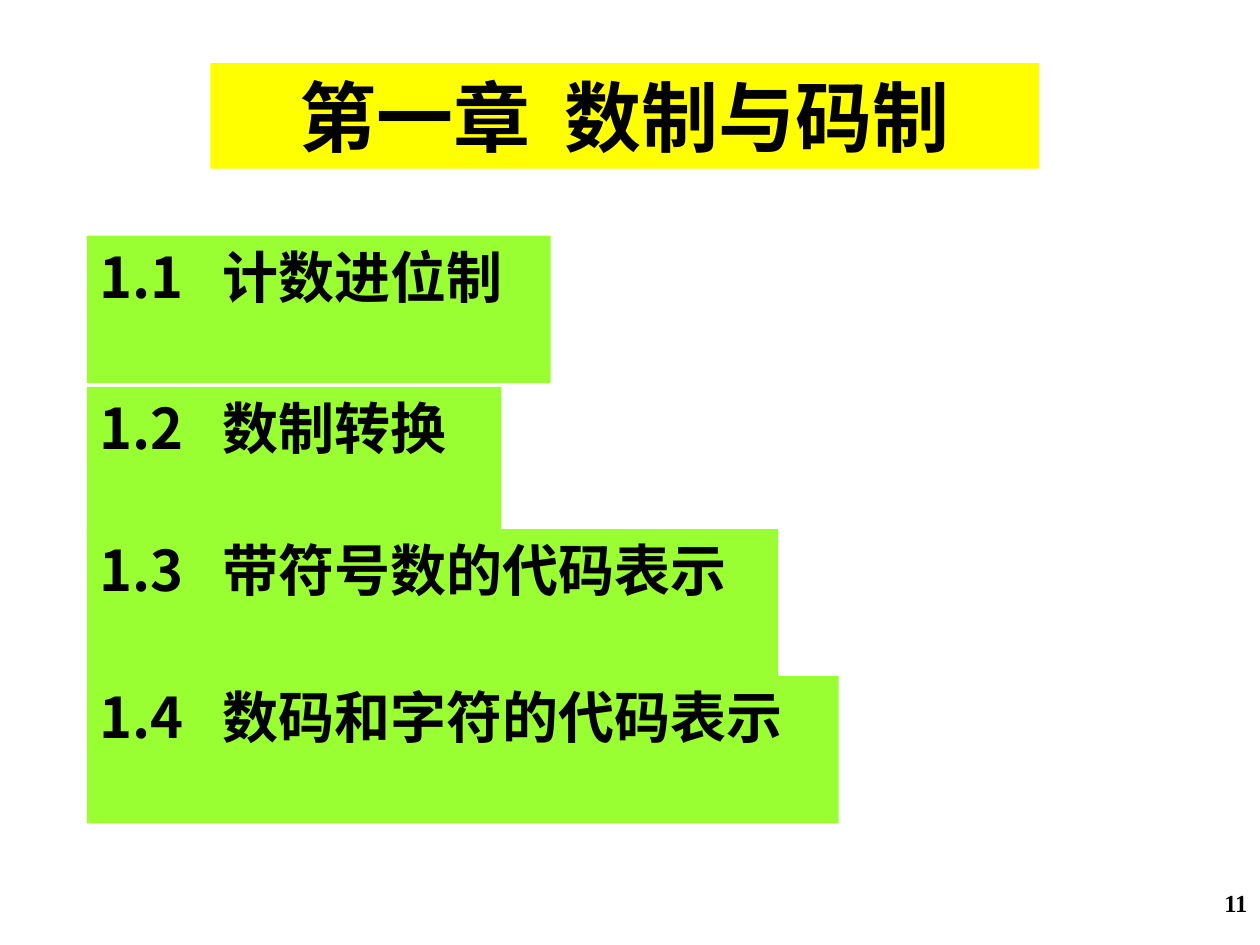
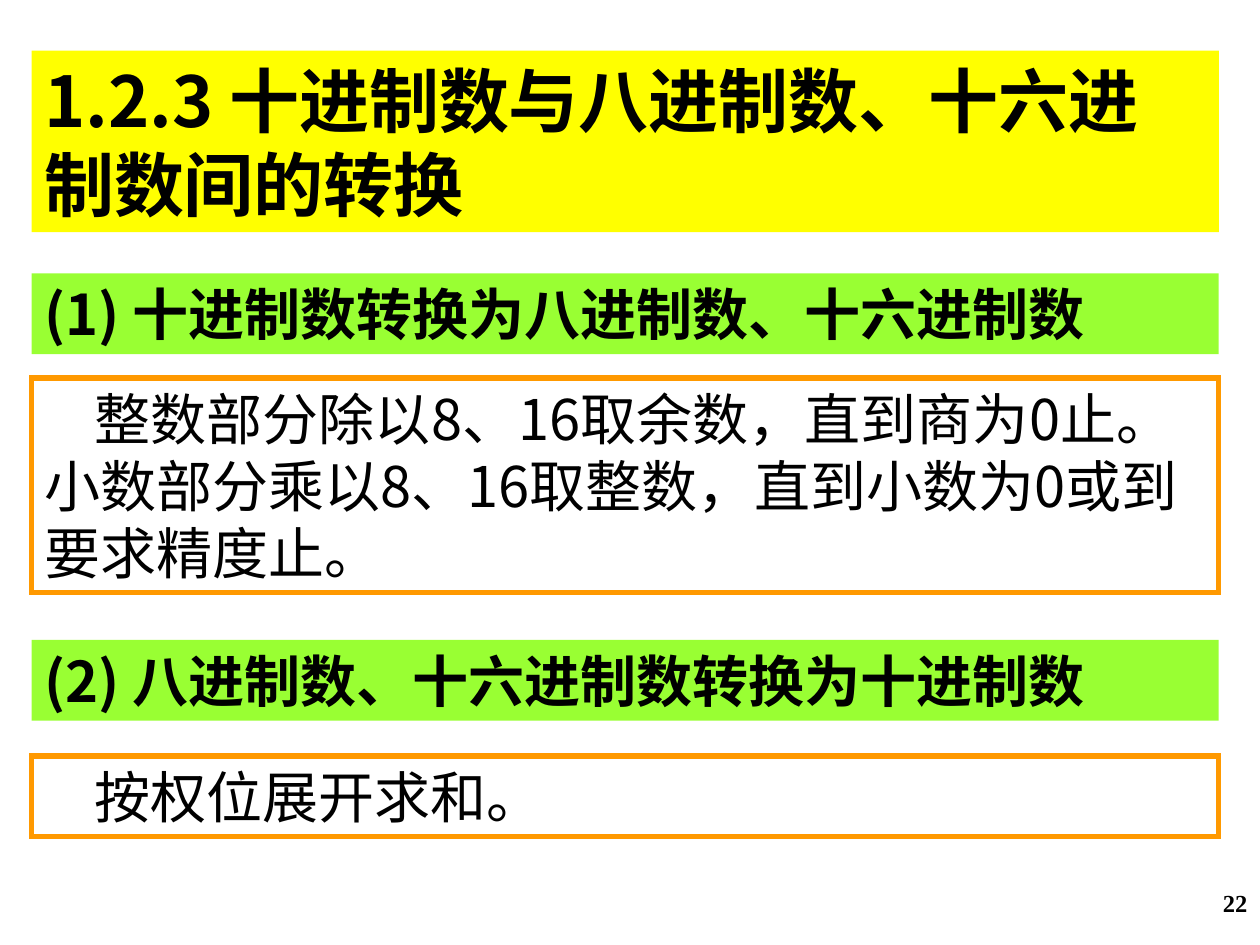
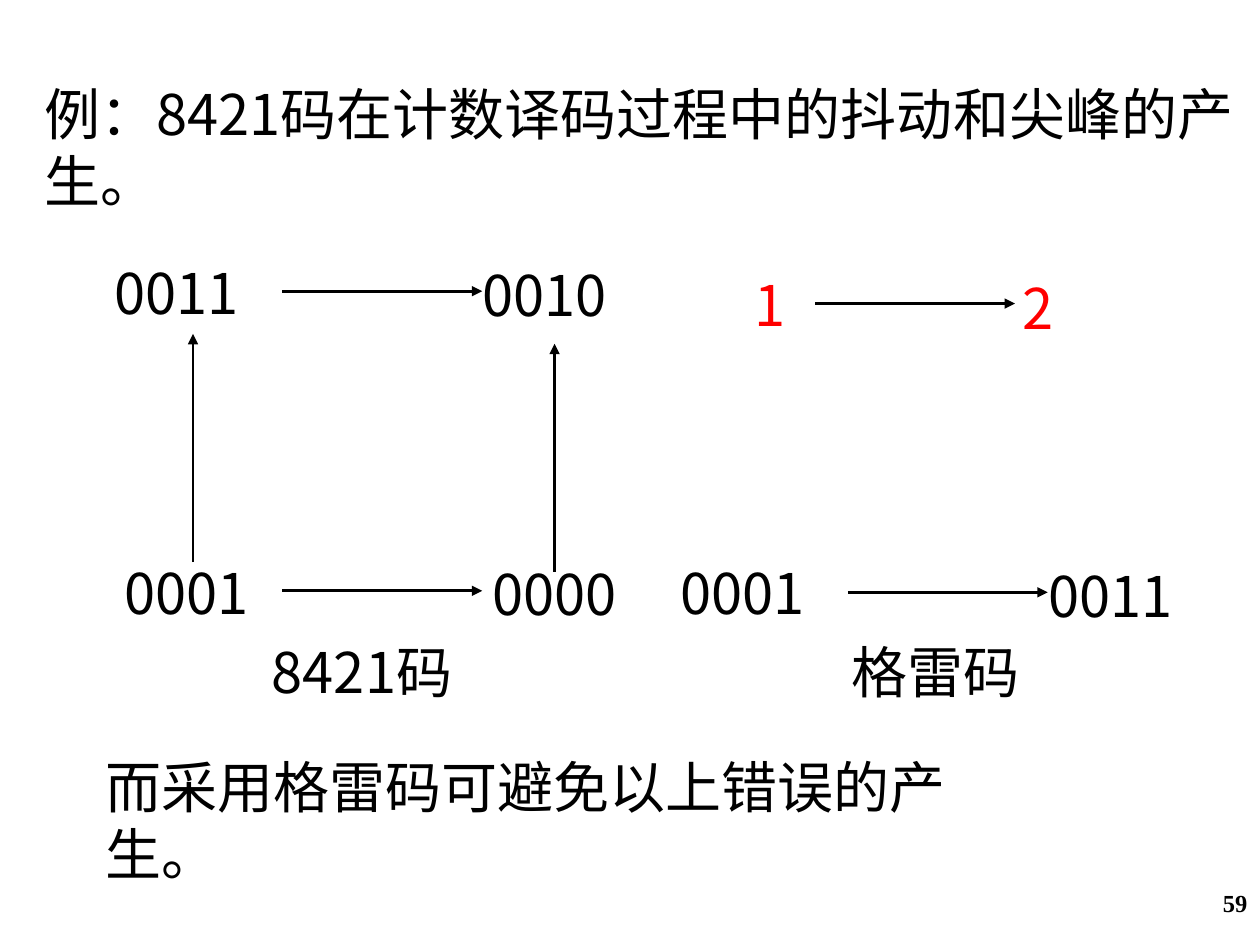
import pptx
import pptx.dml.color
import pptx.enum.shapes
import pptx.enum.text
import pptx.oxml
import pptx.oxml.ns
import pptx.util

Cm = pptx.util.Cm
Pt = pptx.util.Pt
Align = pptx.enum.text.PP_ALIGN
Anchor = pptx.enum.text.MSO_ANCHOR
AutoSize = pptx.enum.text.MSO_AUTO_SIZE

COLORS = {
    "text": "000000",
    "title band": "FFFF00",
    "heading band": "99FF33",
    "frame": "FF9900",
    "state": "FF0000",
}
SANS = "Noto Sans CJK SC"
SERIF = "Times New Roman"
BODY = {"name": SANS, "size": Pt(32), "bold": False}
HEADING = {**BODY, "bold": True}
CHAPTER_TITLE = {"name": SERIF, "size": Pt(44), "bold": True}
SECTION_TITLE = {**HEADING, "size": Pt(40)}
PAGE_NUMBER = {"name": SERIF, "size": Pt(14), "bold": True}

FRAME_FORMAT = {
    "margin_left": Cm(0.25),
    "margin_right": Cm(0.25),
    "margin_top": Cm(0.13),
    "margin_bottom": Cm(0.13),
}
SECTION_LEFT, SECTION_WIDTH = 0.64, 23.93
LINE_HEIGHT = 1.63


def rgb(color):
    return pptx.dml.color.RGBColor.from_string(COLORS[color])


def set_attributes(target, values):
    for name, value in values.items():
        setattr(target, name, value)


def append_xml(parent, tag, **attributes):
    element = pptx.oxml.parse_xml(f"<a:{tag} {pptx.oxml.ns.nsdecls('a')}/>")
    for name, value in attributes.items():
        element.set(name, str(value))
    parent.append(element)
    return element


def write_text(shape, text, font, color="text", align=Align.LEFT, anchor=Anchor.TOP,
               wrap=True, auto_size=AutoSize.NONE, indent=0, tab=0):
    """Fill the shape with one paragraph whose punctuation stays inside the margins."""
    frame = shape.text_frame
    set_attributes(frame, {**FRAME_FORMAT, "word_wrap": wrap,
                           "auto_size": auto_size, "vertical_anchor": anchor})
    paragraph = frame.paragraphs[0]
    paragraph.alignment = align
    properties = paragraph._p.get_or_add_pPr()
    properties.set("hangingPunct", "0")
    if indent:
        properties.set("indent", str(Cm(indent)))
    if tab:
        append_xml(append_xml(properties, "tabLst"), "tab", pos=Cm(tab), algn="l")
    run = paragraph.add_run()
    run.text = text
    set_attributes(run.font, font)
    run.font.color.rgb = rgb(color)
    append_xml(run._r.get_or_add_rPr(), "ea", typeface=SANS)


def add_title(slide, text, font, box, band=None, **text_format):
    title = slide.shapes.title
    title.left, title.top, title.width, title.height = map(Cm, box)
    if band:
        title.fill.solid()
        title.fill.fore_color.rgb = rgb(band)
    write_text(title, text, font, **text_format)


def add_rectangle(slide, box):
    rectangle = slide.shapes.add_shape(
        pptx.enum.shapes.MSO_SHAPE.RECTANGLE, *map(Cm, box))
    rectangle.shadow.inherit = False
    return rectangle


def add_heading_band(slide, text, box, **text_format):
    band = add_rectangle(slide, box)
    band.fill.solid()
    band.fill.fore_color.rgb = rgb("heading band")
    band.line.fill.background()
    write_text(band, text, HEADING, **text_format)


def add_framed_text(slide, text, box):
    frame = add_rectangle(slide, box)
    frame.fill.background()
    frame.line.color.rgb = rgb("frame")
    frame.line.width = Pt(3)
    append_xml(frame.line._get_or_add_ln(), "miter", lim=800000)
    write_text(frame, text, BODY, indent=1.02)


def add_label(slide, text, left, top, width, font=BODY, color="text"):
    """Add a one-line text box that keeps to the size of its text."""
    label = slide.shapes.add_textbox(*map(Cm, (left, top, width, LINE_HEIGHT)))
    write_text(label, text, font, color, wrap=False,
               auto_size=AutoSize.SHAPE_TO_FIT_TEXT)


def add_arrow(slide, start, end):
    arrow = slide.shapes.add_connector(
        pptx.enum.shapes.MSO_CONNECTOR.STRAIGHT, *map(Cm, start + end))
    arrow.line.color.rgb = rgb("text")
    arrow.line.width = Pt(1.5)
    append_xml(arrow.line._get_or_add_ln(), "tailEnd", type="triangle")
    append_xml(arrow._element.spPr, "effectLst")


def add_slide(presentation, number):
    """Add a title-only slide that carries its page number."""
    slide = presentation.slides.add_slide(presentation.slide_layouts[5])
    box = slide.shapes.add_textbox(Cm(20.12), Cm(17.78), Cm(5.28), Cm(1.27))
    write_text(box, number, PAGE_NUMBER, align=Align.RIGHT)
    return slide


def build_chapter_slide(presentation):
    slide = add_slide(presentation, "11")
    add_title(slide, "第一章  数制与码制", CHAPTER_TITLE, (4.24, 1.27, 16.71, 2.13),
              "title band", align=Align.CENTER, anchor=Anchor.BOTTOM)
    sections = [
        ("1.1\t计数进位制", 4.75, 9.35),
        ("1.2\t数制转换", 7.8, 8.36),
        ("1.3\t带符号数的代码表示", 10.67, 13.94),
        ("1.4\t数码和字符的代码表示", 13.63, 15.16),
    ]
    for text, top, width in sections:
        add_heading_band(slide, text, (1.75, top, width, 2.97), tab=2.48)


def build_conversion_slide(presentation):
    slide = add_slide(presentation, "22")
    add_title(slide, "1.2.3 十进制数与八进制数、十六进制数间的转换", SECTION_TITLE,
              (SECTION_LEFT, 1.02, SECTION_WIDTH, 3.66), "title band",
              anchor=Anchor.BOTTOM)
    rows = [
        (add_heading_band, "(1) 十进制数转换为八进制数、十六进制数", 5.51, LINE_HEIGHT),
        (add_framed_text, "整数部分除以8、16取余数，直到商为0止。小数部分乘以8、16取整数，"
                          "直到小数为0或到要求精度止。", 7.62, 4.32),
        (add_heading_band, "(2) 八进制数、十六进制数转换为十进制数", 12.9, LINE_HEIGHT),
        (add_framed_text, "按权位展开求和。", 15.24, LINE_HEIGHT),
    ]
    for add_row, text, top, height in rows:
        add_row(slide, text, (SECTION_LEFT, top, SECTION_WIDTH, height))


def build_gray_code_slide(presentation):
    slide = add_slide(presentation, "59")
    add_title(slide, "例：8421码在计数译码过程中的抖动和尖峰的产生。", BODY,
              (SECTION_LEFT, 1.47, 24.56, 2.97))

    codes = [
        ("0011", 2.06, 5.08), ("0010", 9.47, 5.13),
        ("0001", 2.26, 11.13), ("0000", 9.68, 11.15),
        ("0001", 13.46, 11.13), ("0011", 20.88, 11.18),
    ]
    for code, left, top in codes:
        add_label(slide, code, left, top, 3.23)
    for state, left, top in [("1", 14.96, 5.33), ("2", 20.37, 5.38)]:
        add_label(slide, state, left, top, 1.19, color="state")
    add_label(slide, "8421码", 5.23, 12.73, 4.62)
    add_label(slide, "格雷码", 16.92, 12.73, 3.89)
    add_label(slide, "而采用格雷码可避免以上错误的产生。", 1.88, 15.04, 19.71,
              {**BODY, "name": "Montserrat"})

    for left, y in [(5.69, 5.87), (5.69, 11.91), (16.43, 6.12), (17.09, 11.94)]:
        add_arrow(slide, (left, y), (left + 4.03, y))
    for x, bottom in [(3.89, 11.33), (11.18, 11.53)]:
        add_arrow(slide, (x, bottom), (x, bottom - 4.6))


def main():
    presentation = pptx.Presentation()
    presentation.slide_width = Cm(25.4)
    presentation.slide_height = Cm(19.05)
    build_chapter_slide(presentation)
    build_conversion_slide(presentation)
    build_gray_code_slide(presentation)
    presentation.save("out.pptx")


if __name__ == "__main__":
    main()
